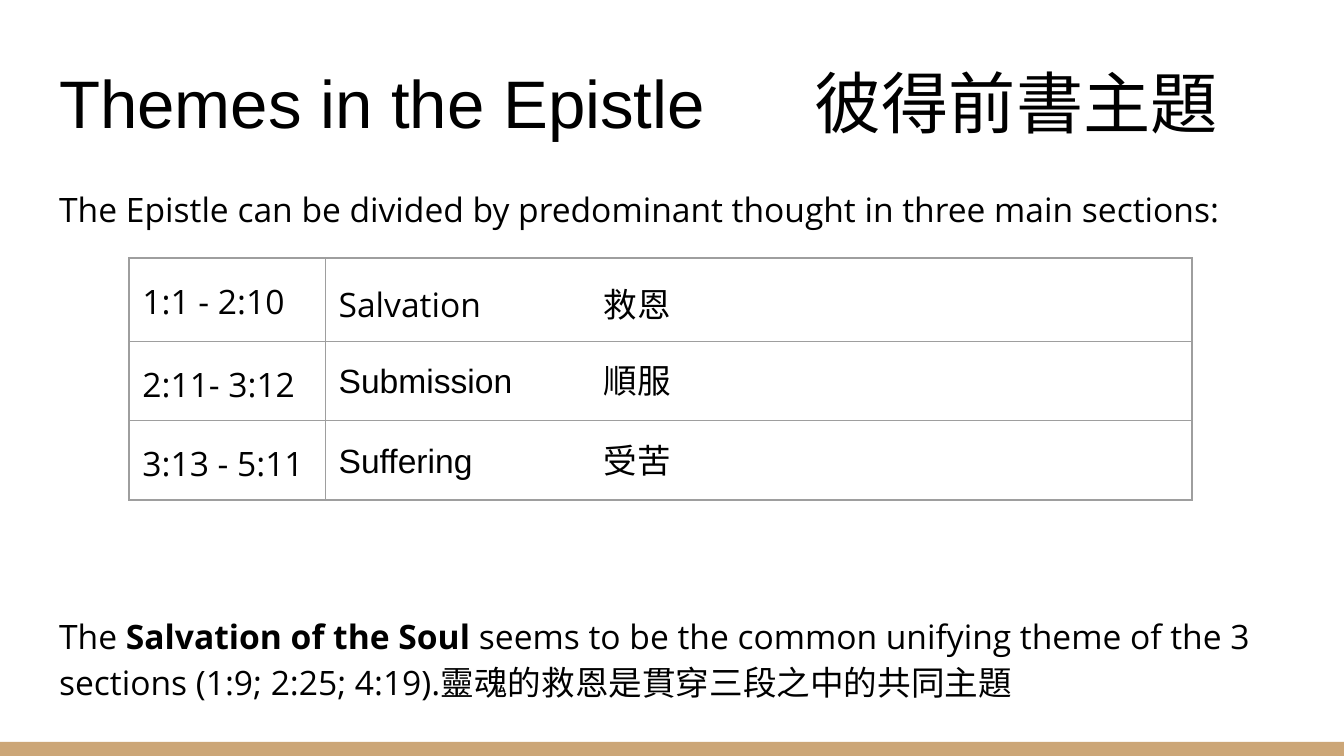
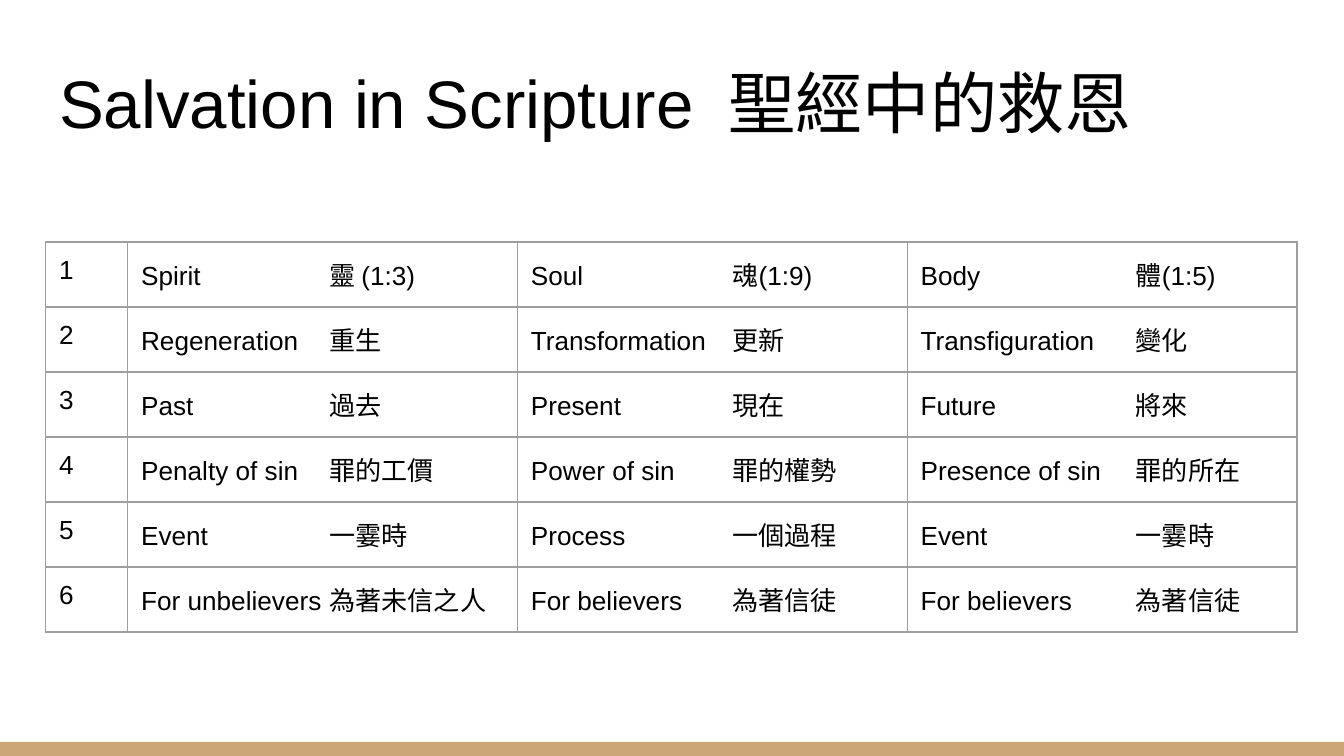
from dataclasses import dataclass

import pptx
import pptx.dml.color
import pptx.enum.shapes
import pptx.enum.text
import pptx.oxml
import pptx.oxml.ns
import pptx.util
from lxml import etree

Inches = pptx.util.Inches
Pt = pptx.util.Pt
RGBColor = pptx.dml.color.RGBColor
qn = pptx.oxml.ns.qn


@dataclass(frozen=True)
class Theme:
    """Colours, fonts, type sizes and spacing shared by the slides."""

    text: RGBColor = RGBColor(0x00, 0x00, 0x00)
    band: RGBColor = RGBColor(0xCC, 0xA6, 0x77)
    border: str = "9E9E9E"
    border_width: float = 0.75
    heading_font: str = "Arial"
    body_font: str = "Open Sans"
    title_size: int = 36
    body_size: int = 18
    grid_size: int = 14
    line_spacing: float = 1.15
    inset: float = 0.1


THEME = Theme()
ANCHOR = pptx.enum.text.MSO_ANCHOR
SLIDE_WIDTH = 10
SLIDE_HEIGHT = SLIDE_WIDTH * 9 / 16
TITLE_BOX = (0.34, 0.25, 9.32, 0.91)
BODY_BOX = (0.34, 1.26, 9.32, 4.2)
BAND_BOX = (0, 5.52, SLIDE_WIDTH, 0.11)
CONCLUSION_GAP = 204

INTRODUCTION = [("The Epistle can be divided by predominant thought in three main sections:", False)]
CONCLUSION = [
    ("The ", False),
    ("Salvation of the Soul", True),
    (" seems to be the common unifying theme of the 3 sections (1:9; 2:25; 4:19)."
     "靈魂的救恩是貫穿三段之中的共同主題", False),
]
SECTIONS = [
    ("1:1 - 2:10", "Salvation\t救恩"),
    ("2:11- 3:12", "Submission\t順服"),
    ("3:13 - 5:11", "Suffering\t受苦"),
]
SALVATION = [
    ("1", "Spirit\t靈 (1:3)", "Soul\t魂(1:9)", "Body\t體(1:5)"),
    ("2", "Regeneration\t重生", "Transformation\t更新", "Transfiguration\t變化"),
    ("3", "Past\t過去", "Present\t現在", "Future\t將來"),
    ("4", "Penalty of sin\t罪的工價", "Power of sin\t罪的權勢", "Presence of sin\t罪的所在"),
    ("5", "Event\t一霎時", "Process\t一個過程", "Event\t一霎時"),
    ("6", "For unbelievers\t為著未信之人", "For believers\t為著信徒", "For believers\t為著信徒"),
]


def apply_format(target, values):
    """Set every attribute named in values on target."""
    for name, value in values.items():
        setattr(target, name, value)


def box(lengths):
    """Turn numbers in inches into lengths."""
    return [Inches(length) for length in lengths]


def margins():
    """Return equal insets for a text frame or a cell."""
    sides = ("left", "top", "right", "bottom")
    return {f"margin_{side}": Inches(THEME.inset) for side in sides}


def add_run(paragraph, text, font, size, bold=False):
    """Add a run of formatted text to a paragraph."""
    run = paragraph.add_run()
    run.text = text
    apply_format(run.font, {"name": font, "size": Pt(size), "bold": bold})
    run.font.color.rgb = THEME.text


def set_tab(paragraph, position):
    """Give a paragraph one left tab stop, in inches."""
    properties = paragraph._p.get_or_add_pPr()
    tabs = etree.SubElement(properties, qn("a:tabLst"))
    etree.SubElement(tabs, qn("a:tab"), pos=str(Inches(position)), algn="l")


def place_placeholder(placeholder, lengths, anchor):
    """Move a placeholder and return its prepared text frame."""
    apply_format(placeholder, dict(zip(("left", "top", "width", "height"), box(lengths))))
    frame = placeholder.text_frame
    apply_format(frame, {
        "word_wrap": True,
        "auto_size": pptx.enum.text.MSO_AUTO_SIZE.NONE,
        "vertical_anchor": anchor,
        **margins(),
    })
    return frame


def set_title(slide, text, tab):
    """Fill the title, with its second language at a tab stop."""
    frame = place_placeholder(slide.shapes.title, TITLE_BOX, ANCHOR.BOTTOM)
    paragraph = frame.paragraphs[0]
    paragraph.alignment = pptx.enum.text.PP_ALIGN.LEFT
    set_tab(paragraph, tab)
    add_run(paragraph, text, THEME.heading_font, THEME.title_size)


def set_body(slide, paragraphs):
    """Fill the body with unbulleted (space before, runs) paragraphs."""
    frame = place_placeholder(slide.placeholders[1], BODY_BOX, ANCHOR.TOP)
    for index, (space, runs) in enumerate(paragraphs):
        paragraph = frame.add_paragraph() if index else frame.paragraphs[0]
        apply_format(paragraph, {
            "line_spacing": THEME.line_spacing,
            "space_before": Pt(space),
        })
        properties = paragraph._p.get_or_add_pPr()
        for name in ("marL", "indent"):
            properties.set(name, "0")
        etree.SubElement(properties, qn("a:buNone"))
        for text, bold in runs:
            add_run(paragraph, text, THEME.body_font, THEME.body_size, bold)


def set_borders(cell):
    """Draw the same thin line on all sides of a cell."""
    properties = cell._tc.get_or_add_tcPr()
    for side in ("lnL", "lnR", "lnT", "lnB"):
        line = etree.SubElement(properties, qn(f"a:{side}"), w=str(Pt(THEME.border_width)))
        fill = etree.SubElement(line, qn("a:solidFill"))
        etree.SubElement(fill, qn("a:srgbClr"), val=THEME.border)


def add_grid(slide, position, widths, row_height, rows, tabs, size, font_at):
    """Add a plain ruled table; font_at gives the font for a row and column."""
    lengths = (*position, sum(widths), row_height * len(rows))
    table = slide.shapes.add_table(len(rows), len(widths), *box(lengths)).table
    apply_format(table, {"first_row": False, "horz_banding": False})
    for column, width in zip(table.columns, widths):
        column.width = Inches(width)
    for row_index, row in enumerate(rows):
        table.rows[row_index].height = Inches(row_height)
        for column_index, text in enumerate(row):
            cell = table.cell(row_index, column_index)
            apply_format(cell, {"vertical_anchor": ANCHOR.TOP, **margins()})
            set_borders(cell)
            cell.fill.background()
            paragraph = cell.text_frame.paragraphs[0]
            font = font_at(row_index, column_index)
            if font == THEME.body_font:
                apply_format(paragraph, {
                    "line_spacing": THEME.line_spacing,
                    "space_after": Pt(16),
                })
            if tabs[column_index]:
                set_tab(paragraph, tabs[column_index])
            add_run(paragraph, text, font, size)


def add_master_band(presentation, slide):
    """Put the bottom band on the slide master, behind all slides."""
    band = slide.shapes.add_shape(pptx.enum.shapes.MSO_SHAPE.RECTANGLE, *box(BAND_BOX))
    band.shadow.inherit = False
    band.fill.solid()
    band.fill.fore_color.rgb = THEME.band
    band.line.fill.background()
    presentation.slide_master.shapes.element.append(band.element)


def section_font(row, column):
    """Choose the font of the sections table."""
    return THEME.heading_font if row and column else THEME.body_font


def grid_font(row, column):
    """Choose the font of the salvation table."""
    return THEME.heading_font


def build_themes(slide):
    """Build the slide on the themes of the epistle."""
    set_title(slide, "Themes in the Epistle\t彼得前書主題", 5.62)
    set_body(slide, [(0, INTRODUCTION), (CONCLUSION_GAP, CONCLUSION)])
    add_grid(slide, (0.96, 1.92), (1.46, 6.45), 0.59, SECTIONS,
             (None, 1.97), THEME.body_size, section_font)


def build_salvation(slide):
    """Build the slide on salvation in scripture."""
    set_title(slide, "Salvation in Scripture\t聖經中的救恩", 4.98)
    add_grid(slide, (0.34, 1.8), (0.61, 2.9, 2.9, 2.9), 0.48, SALVATION,
             (None, 1.4, 1.5, 1.6), THEME.grid_size, grid_font)


def main():
    """Build and save the presentation."""
    presentation = pptx.Presentation()
    apply_format(presentation, {
        "slide_width": Inches(SLIDE_WIDTH),
        "slide_height": Inches(SLIDE_HEIGHT),
    })
    layouts = presentation.slide_layouts
    themes = presentation.slides.add_slide(layouts.get_by_name("Title and Content"))
    add_master_band(presentation, themes)
    build_themes(themes)
    build_salvation(presentation.slides.add_slide(layouts.get_by_name("Title Only")))
    presentation.save("out.pptx")


if __name__ == "__main__":
    main()
